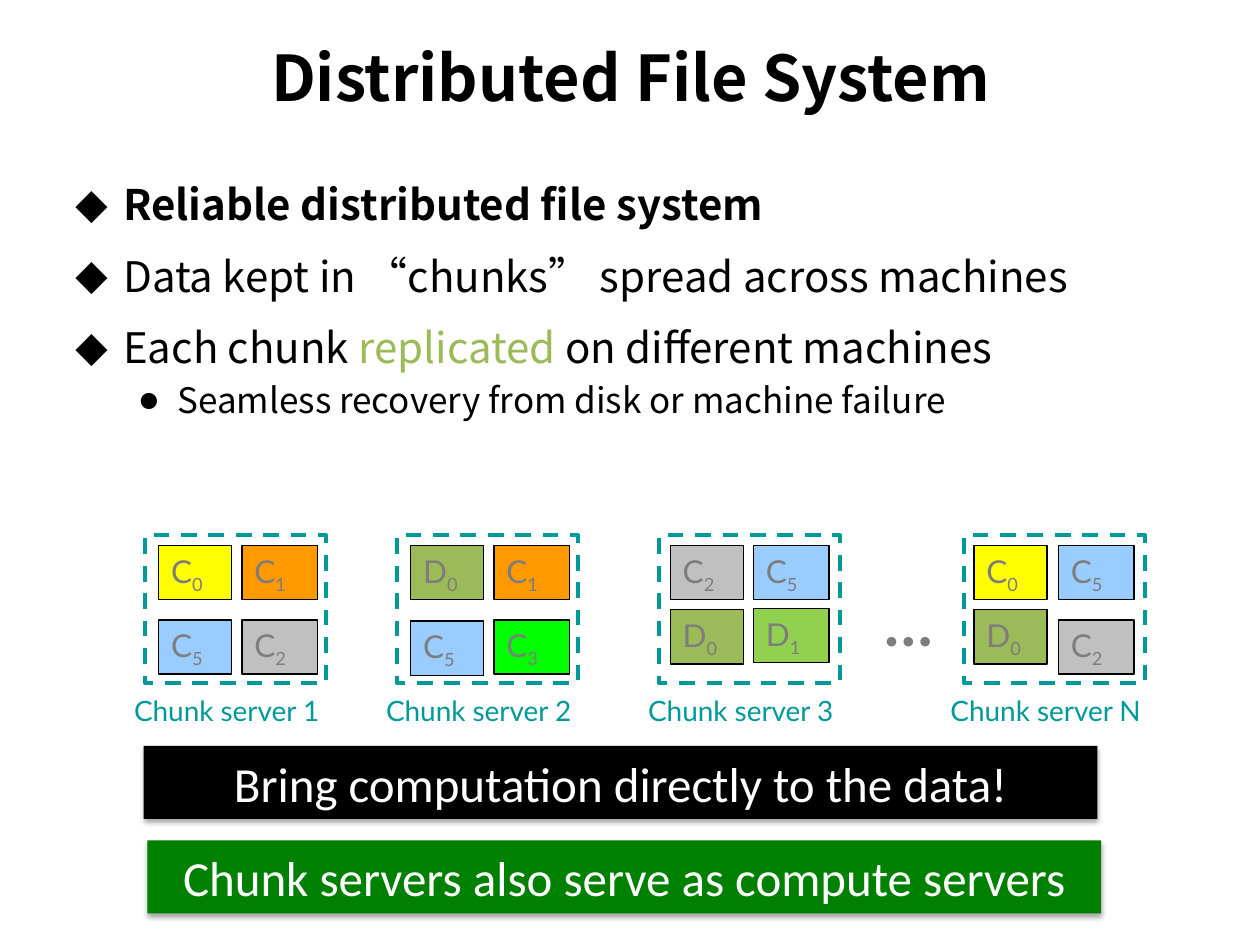
"""Build the Distributed File System slide with chunk servers and two banners."""
from lxml.etree import SubElement
from pptx import Presentation
from pptx.dml.color import RGBColor
from pptx.enum.dml import MSO_LINE
from pptx.enum.shapes import MSO_SHAPE
from pptx.enum.text import MSO_ANCHOR, PP_ALIGN
from pptx.oxml.ns import qn
from pptx.util import Inches, Pt

HEADING_FONT = "Noto Sans CJK SC"
LABEL_FONT = "Lato"
BODY_FONT = "Calibri"
TEAL, GRAY, BLACK, GREEN = "009999", "7D7D7D", "000000", "9BBB59"

TITLE = "Distributed File System"
BULLETS = [
    (0, True, [("Reliable distributed file system", BLACK)]),
    (0, False, [("Data kept in “chunks” spread across machines", BLACK)]),
    (0, False, [("Each chunk ", BLACK), ("replicated", GREEN),
                (" on different machines", BLACK)]),
    (1, False, [("Seamless recovery from disk or machine failure", BLACK)]),
]
BULLET_LEVELS = [
    {"mark": "◆", "margin": 0.38, "hang": 0.38, "size": 24, "before": 4.8, "line": Pt(36)},
    {"mark": "●", "margin": 0.81, "hang": 0.31, "size": 20, "before": 4, "line": 1.0},
]
CHUNK_COLORS = {"C0": "FFFF00", "C1": "FF9900", "C2": "C0C0C0", "C3": "00FF00",
                "C5": "99CCFF", "D0": GREEN, "D1": "92D050"}
# name, left, column offsets, offsets of the second row, chunks by row
SERVERS = [
    ("1", 1.15, (0.11, 0.77), (0.67, 0.67), ("C0", "C1", "C5", "C2")),
    ("2", 3.15, (0.11, 0.77), (0.68, 0.67), ("D0", "C1", "C5", "C3")),
    ("3", 5.23, (0.09, 0.75), (0.59, 0.58), ("C2", "C5", "D0", "D1")),
    ("N", 7.65, (0.08, 0.75), (0.59, 0.67), ("C0", "C5", "D0", "C2")),
]
SERVER_TOP, SERVER_WIDTH, SERVER_HEIGHT = 4.25, 1.44, 1.17
FIRST_ROW, CHUNK_WIDTHS, CHUNK_HEIGHT = 0.08, (0.58, 0.6), 0.43
LABEL_WIDTH, LABEL_SHIFT = 1.9, -0.07
BANNERS = [
    ("Bring computation directly to the data!", BLACK, 1.14, 5.92),
    ("Chunk servers also serve as compute servers", "008000", 1.17, 6.67),
]


def color(value):
    return RGBColor.from_string(value)


def style(paragraph, font, size, value, bold=False):
    paragraph.font.name = font
    paragraph.font.size = Pt(size)
    paragraph.font.bold = bold
    paragraph.font.color.rgb = color(value)


def add_text(page, text, frame, font, size, value, bold=False):
    box = page.shapes.add_textbox(*map(Inches, frame))
    box.text_frame.word_wrap = True
    box.text_frame.vertical_anchor = MSO_ANCHOR.MIDDLE
    para = box.text_frame.paragraphs[0]
    para.text = text
    para.alignment = PP_ALIGN.CENTER
    style(para, font, size, value, bold)


def add_box(page, frame, fill=None, line=None, width=0.75):
    box = page.shapes.add_shape(MSO_SHAPE.RECTANGLE, *map(Inches, frame))
    if fill:
        box.fill.solid()
        box.fill.fore_color.rgb = color(fill)
    else:
        box.fill.background()
    if line:
        box.line.color.rgb = color(line)
        box.line.width = Pt(width)
    else:
        box.line.fill.background()
    return box


def add_title(page):
    title = page.shapes.title
    title.left, title.top, title.width, title.height = map(Inches, (0.51, 0.12, 8.99, 0.97))
    title.text_frame.text = TITLE
    title.text_frame.vertical_anchor = MSO_ANCHOR.MIDDLE
    para = title.text_frame.paragraphs[0]
    para.alignment = PP_ALIGN.CENTER
    style(para, HEADING_FONT, 36, BLACK, True)


def add_bullets(page):
    frame = page.shapes.add_textbox(*map(Inches, (0.5, 1.27, 9, 2.3))).text_frame
    frame.word_wrap = True
    for index, (depth, bold, spans) in enumerate(BULLETS):
        level = BULLET_LEVELS[depth]
        para = frame.add_paragraph() if index else frame.paragraphs[0]
        para.level = depth
        properties = para._p.get_or_add_pPr()
        properties.set("marL", str(Inches(level["margin"])))
        properties.set("indent", str(-Inches(level["hang"])))
        SubElement(properties, qn("a:buFont"), typeface=BODY_FONT)
        SubElement(properties, qn("a:buChar"), char=level["mark"])
        para.line_spacing = level["line"]
        para.space_before = Pt(level["before"] if index else 0)
        style(para, HEADING_FONT, level["size"], BLACK, bold)
        for text, value in spans:
            span = para.add_run()
            span.text = text
            span.font.color.rgb = color(value)
            SubElement(span._r.get_or_add_rPr(), qn("a:ea"), typeface=HEADING_FONT)


def add_chunk(page, name, frame):
    chunk = add_box(page, frame, CHUNK_COLORS[name], BLACK)
    chunk.shadow.inherit = False
    chunk.text_frame.word_wrap = False
    chunk.text_frame.vertical_anchor = MSO_ANCHOR.TOP
    para = chunk.text_frame.paragraphs[0]
    para.alignment = PP_ALIGN.LEFT
    style(para, LABEL_FONT, 18, GRAY)
    for text in name:
        span = para.add_run()
        span.text = text
    span._r.get_or_add_rPr().set("baseline", "-25000")


def add_server(page, name, left, columns, second_row, chunks):
    outline = add_box(page, (left, SERVER_TOP, SERVER_WIDTH, SERVER_HEIGHT), None, TEAL, 2.25)
    outline.line.dash_style = MSO_LINE.DASH
    outline.shadow.inherit = False
    for index, chunk in enumerate(chunks):
        row, column = divmod(index, 2)
        top = SERVER_TOP + (second_row[column] if row else FIRST_ROW)
        add_chunk(page, chunk, (left + columns[column], top, CHUNK_WIDTHS[column], CHUNK_HEIGHT))
    label_left = left + (SERVER_WIDTH - LABEL_WIDTH) / 2 + LABEL_SHIFT
    add_text(page, f"Chunk server {name}", (label_left, 5.4, LABEL_WIDTH, 0.47),
             LABEL_FONT, 16, TEAL)


def add_banner(page, text, fill, left, top):
    banner = add_box(page, (left, top, 7.57, 0.58), fill)
    para = banner.text_frame.paragraphs[0]
    para.text = text
    para.alignment = PP_ALIGN.CENTER
    style(para, BODY_FONT, 28, "FFFFFF")


def main():
    deck = Presentation()
    deck.slide_width, deck.slide_height = Inches(10), Inches(7.5)
    page = deck.slides.add_slide(deck.slide_layouts[5])
    add_title(page)
    add_bullets(page)
    for server in SERVERS:
        add_server(page, *server)
    add_text(page, "…", (6.86, 4.6, 0.7, 0.66), LABEL_FONT, 36, GRAY, True)
    for banner in BANNERS:
        add_banner(page, *banner)
    deck.save("out.pptx")


if __name__ == "__main__":
    main()
